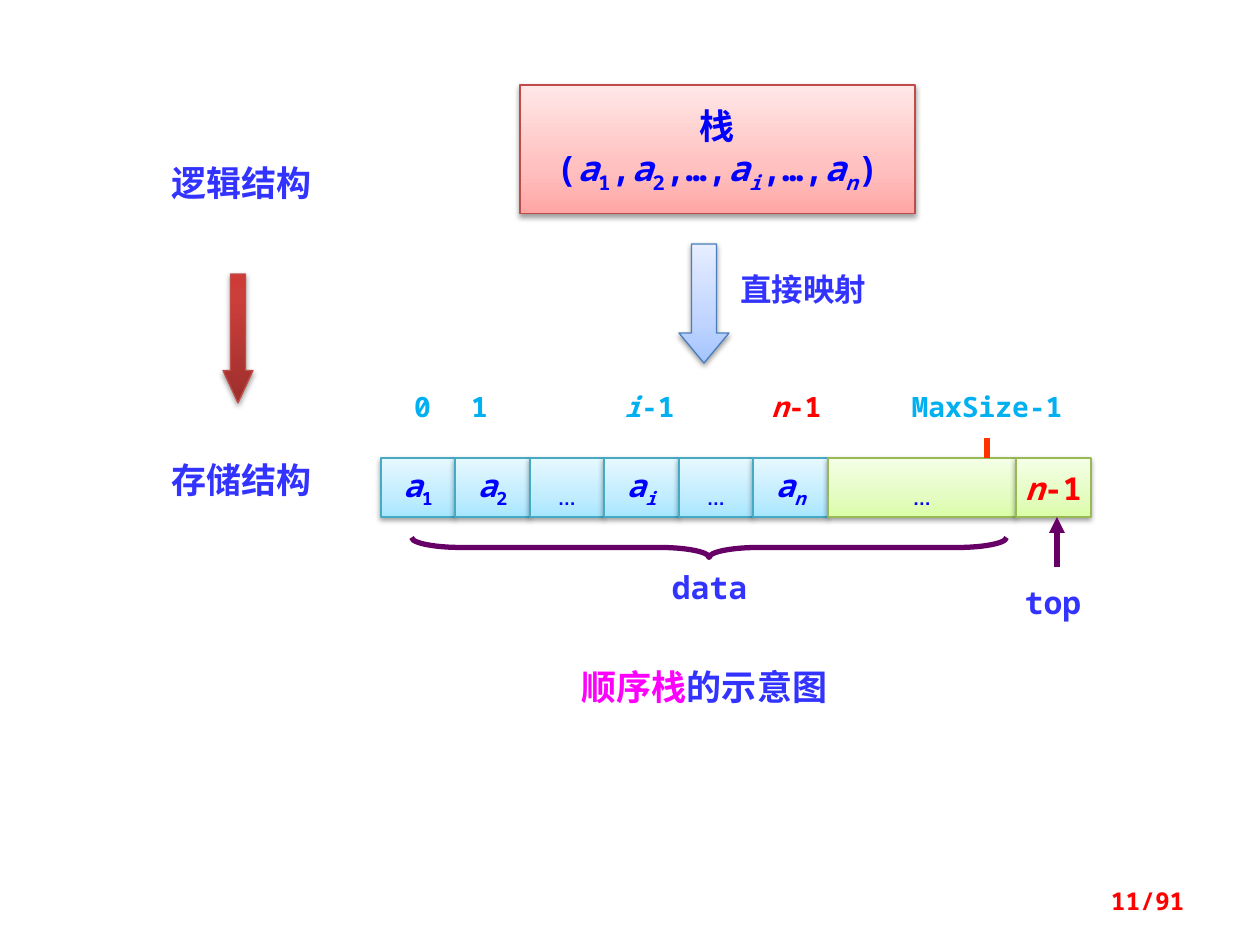
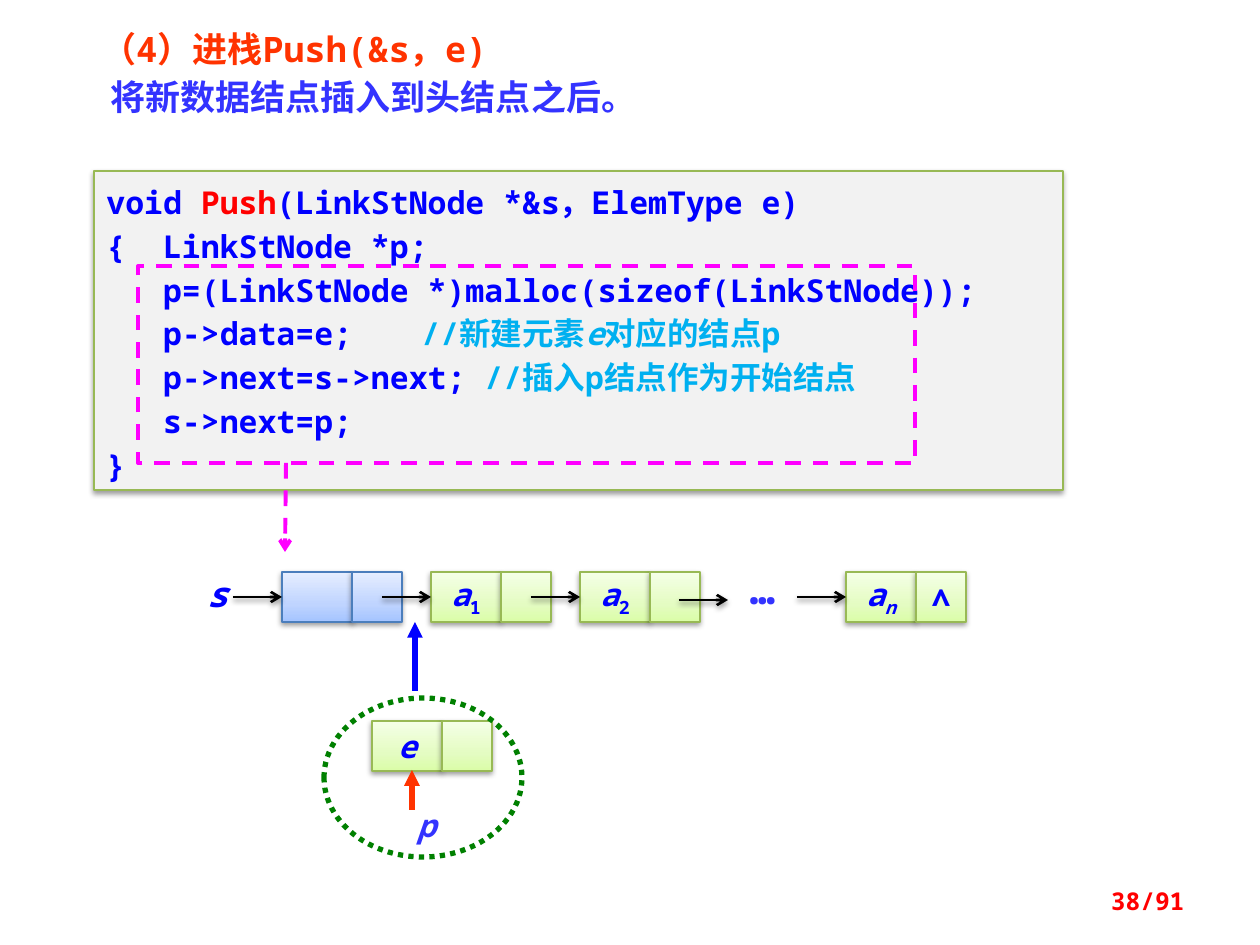
import pptx
import pptx.dml.color
import pptx.enum.dml
import pptx.enum.shapes
import pptx.enum.text
import pptx.oxml.ns
import pptx.util
from lxml import etree

RGB = pptx.dml.color.RGBColor
KIND = pptx.enum.shapes.MSO_SHAPE
ALIGN = pptx.enum.text.PP_ALIGN
ANCHOR = pptx.enum.text.MSO_ANCHOR
DASH = pptx.enum.dml.MSO_LINE
Pt = pptx.util.Pt
qn = pptx.oxml.ns.qn

MONO, HAN, SANS = "Noto Sans Mono", "Noto Sans CJK SC", "Arial"

BLACK = RGB(0x00, 0x00, 0x00)
BLUE = RGB(0x00, 0x00, 0xFF)
INDIGO = RGB(0x33, 0x33, 0xFF)
SKY = RGB(0x00, 0xB0, 0xF0)
RED = RGB(0xFF, 0x00, 0x00)
ORANGE = RGB(0xFF, 0x33, 0x00)
PINK = RGB(0xFF, 0x00, 0xFF)
PURPLE = RGB(0x66, 0x00, 0x66)
GREEN = RGB(0x00, 0x80, 0x00)
GREY = RGB(0xF2, 0xF2, 0xF2)
LEAF = RGB(0x98, 0xB9, 0x55)

# Each tint: edge colour, then gradient stops from bottom to top
ROSE = (RGB(0xBF, 0x4C, 0x48), (0, RGB(0xFF, 0xA6, 0xA5)),
        (35, RGB(0xFF, 0xC0, 0xBF)), (100, RGB(0xFF, 0xE7, 0xE7)))
BRICK = (RGB(0xBF, 0x4C, 0x48), (0, RGB(0x9C, 0x2F, 0x2D)),
         (80, RGB(0xCB, 0x3E, 0x3A)), (100, RGB(0xCE, 0x3B, 0x37)))
STEEL = (RGB(0x4B, 0x7E, 0xBC), (0, RGB(0xA4, 0xC4, 0xFF)),
         (35, RGB(0xBF, 0xD4, 0xFF)), (100, RGB(0xE6, 0xEE, 0xFF)))
AQUA = (RGB(0x46, 0xAA, 0xC5), (0, RGB(0xA7, 0xE6, 0xFF)),
        (35, RGB(0xC1, 0xED, 0xFF)), (100, RGB(0xE7, 0xF8, 0xFF)))
LIME = (LEAF, (0, RGB(0xDA, 0xFD, 0xA7)),
        (35, RGB(0xE4, 0xFC, 0xC2)), (100, RGB(0xF5, 0xFF, 0xE7)))


def px(n):
    return round(n * 914400 / 126)


def child(node, tag, **attrs):
    return etree.SubElement(node, qn(tag), **attrs)


# Text: a run is (words, style, colour); style holds "i" italic, "s" subscript
def add_run(par, size, color, font, words, style="", tint=None):
    run = par.add_run()
    run.text = words
    run.font.size = Pt(size)
    run.font.bold = True
    run.font.italic = "i" in style
    run.font.color.rgb = tint or color
    run.font.name = font
    props = run._r.get_or_add_rPr()
    child(props, "a:ea", typeface=HAN)
    if "s" in style:
        props.set("baseline", "-25000")


def write(frame, lines, size=18, color=BLUE, font=MONO, align=ALIGN.CENTER):
    for i, runs in enumerate(lines):
        par = frame.paragraphs[0] if i == 0 else frame.add_paragraph()
        par.alignment = align
        for run in runs:
            add_run(par, size, color, font, *run)
    return frame


def label(slide, x, y, w, h, lines, size=18, color=INDIGO, **look):
    frame = slide.shapes.add_textbox(px(x), px(y), px(w), px(h)).text_frame
    frame.word_wrap = True
    return write(frame, lines, size, color, **look)


def term(name, index, style="s"):
    return [(name, "i"), (index, style)]


# Shapes and lines
def cast(effects):
    shade = child(effects, "a:outerShdw", blurRad=str(Pt(3.1)), dist=str(Pt(1.6)),
                  dir="5400000", rotWithShape="0")
    child(child(shade, "a:srgbClr", val=str(BLACK)), "a:alpha", val="38000")


def shape(slide, kind, x, y, w, h, edge, width=0.75, shadow=False):
    item = slide.shapes.add_shape(kind, px(x), px(y), px(w), px(h))
    item.fill.background()
    item.line.color.rgb = edge
    item.line.width = Pt(width)
    item.shadow.inherit = False
    if shadow:
        cast(item._element.spPr.find(qn("a:effectLst")))
    return item


def block(slide, x, y, w, h, tint, lines=(), kind=KIND.RECTANGLE, **look):
    edge, *stops = tint
    item = shape(slide, kind, x, y, w, h, edge, shadow=True)
    item.fill.gradient()
    item.fill.gradient_angle = 90
    ramp = item._element.spPr.find(".//" + qn("a:gsLst"))
    for old in list(ramp):
        ramp.remove(old)
    for place, color in stops:
        stop = child(ramp, "a:gs", pos=str(place * 1000))
        child(stop, "a:srgbClr", val=str(color))
    frame = item.text_frame
    frame.word_wrap = False
    frame.vertical_anchor = ANCHOR.MIDDLE
    write(frame, lines, **look)
    return item


def line(slide, x1, y1, x2, y2, color, width=3, tip=None, dash=None, shadow=False):
    item = slide.shapes.add_connector(pptx.enum.shapes.MSO_CONNECTOR.STRAIGHT,
                                      px(x1), px(y1), px(x2), px(y2))
    item.line.color.rgb = color
    item.line.width = Pt(width)
    if dash:
        item.line.dash_style = dash
    if tip:
        child(item.line._get_or_add_ln(), "a:tailEnd", type=tip)
    effects = child(item._element.spPr, "a:effectLst")
    if shadow:
        cast(effects)


def footer(slide, page):
    frame = label(slide, 903, 876, 294, 50, [[(f"{page}/91",)]], 14, RED,
                  align=ALIGN.RIGHT)
    frame.vertical_anchor = ANCHOR.MIDDLE


# Slide 1: from logical to stored structure
def levels(slide, x, y):
    for dy, words in ((0, "逻辑结构"), (297, "存储结构")):
        label(slide, x, y + dy, 238, 55, [[(words,)]], 20, font=HAN)
    arrow = block(slide, x + 100, y + 119, 30, 129, BRICK, kind=KIND.DOWN_ARROW)
    arrow.adjustments[1] = 1.08


def logic(slide, x, y):
    listing = [("(",), *term("a", "1"), (",",), *term("a", "2"), (",…,",),
               *term("a", "i", "is"), (",…,",), *term("a", "n", "is"), (")",)]
    block(slide, x, y, 395, 129, ROSE, [[("栈",)], listing], size=20)
    arrow = block(slide, x + 159, y + 159, 50, 119, STEEL, kind=KIND.DOWN_ARROW)
    arrow.adjustments[1] = 0.6
    label(slide, x + 208, y + 179, 189, 50, [[("直接映射",)]], font=HAN,
          align=ALIGN.LEFT)


def array(slide, x, y):
    dots = [("…", "s")]
    minus = [("n", "i"), ("-1",)]
    cells = [term("a", "1"), term("a", "2"), dots, term("a", "i", "is"), dots,
             term("a", "n", "is")]
    # Used cells, then the free part
    edges = [x + 149 * i // 2 for i in range(len(cells) + 1)]
    for left, right, runs in zip(edges, edges[1:], cells):
        block(slide, left, y, right - left, 59, AQUA, [runs],
              font=SANS if runs is dots else MONO)
    free = edges[-1]
    block(slide, free, y, 188, 59, LIME, [dots], font=SANS)
    block(slide, free + 188, y, 75, 59, LIME, [minus], color=RED)
    # Index labels
    marks = ((7, 69, [("0",)], SKY), (64, 69, [("1",)], SKY),
             (229, 79, [("i", "i"), ("-1",)], SKY), (371, 89, minus, RED),
             (502, 208, [("MaxSize-1",)], SKY))
    for dx, w, runs, color in marks:
        label(slide, x + dx, y - 75, w, 46, [runs], 16, color)
    line(slide, x + 606, y - 20, x + 606, y, ORANGE)
    # Brace and top pointer
    brace = shape(slide, KIND.RIGHT_BRACE, x + 318, y - 208, 20, 595, PURPLE, 3)
    brace.rotation = 90
    brace.adjustments[0] = 2.49
    label(slide, x + 259, y + 104, 139, 50, [[("data",)]])
    label(slide, x + 617, y + 119, 110, 50, [[("top",)]])
    line(slide, x + 676, y + 109, x + 676, y + 59, PURPLE, tip="triangle")


def storage(deck):
    slide = deck.slides.add_slide(deck.slide_layouts[6])
    levels(slide, 123, 155)
    logic(slide, 520, 85)
    array(slide, 381, 458)
    label(slide, 542, 659, 325, 55, [[("顺序栈", "", PINK), ("的示意图",)]], 20,
          font=HAN)
    footer(slide, 11)


# Slide 2: pushing onto a linked stack
def heading(slide, x, y):
    frame = label(slide, x, y, 600, 111,
                  [[("（4）进栈Push(&s，e)",)],
                   [("将新数据结点插入到头结点之后。", "", INDIGO)]],
                  20, ORANGE, align=ALIGN.JUSTIFY)
    first, second = frame.paragraphs
    first.line_spacing = 0.8
    second.space_before = Pt(4)
    second._p.get_or_add_pPr().set("marL", str(px(9)))


def code(slide, x, y):
    panel = shape(slide, KIND.RECTANGLE, x, y, 969, 319, LEAF, shadow=True)
    panel.fill.solid()
    panel.fill.fore_color.rgb = GREY
    frame = panel.text_frame
    frame.word_wrap = True
    frame.vertical_anchor = ANCHOR.TOP
    write(frame, [
        [("void ",), ("Push", "", RED), ("(LinkStNode *&s，ElemType e)",)],
        [("{  LinkStNode *p;",)],
        [("   p=(LinkStNode *)malloc(sizeof(LinkStNode));",)],
        [("   p->data=e;\t\t",), ("//新建元素", "", SKY), ("e", "i", SKY),
         ("对应的结点p", "", SKY)],
        [("   p->next=s->next;\t",), ("//插入p结点作为开始结点", "", SKY)],
        [("   s->next=p;",)],
        [("}",)]], align=ALIGN.LEFT)
    for par in frame.paragraphs:
        par.line_spacing = Pt(25)


def focus(slide, x, y):
    frame = shape(slide, KIND.RECTANGLE, x, y, 777, 197, PINK, 2.25)
    frame.line.dash_style = DASH.DASH
    line(slide, x + 148, y + 197, x + 147, y + 286, PINK, 2.25, "arrow", DASH.DASH)


def node(slide, x, y, tint, data=(), link=()):
    block(slide, x, y, 70, 50, tint, [data])
    block(slide, x + 70, y, 50, 50, tint, [link])


def reach(slide, x, y):
    line(slide, x, y, x + 49, y, BLACK, 1.5, "arrow", shadow=True)


def chain(slide, x, y):
    label(slide, x - 89, y - 6, 49, 54, [[("s", "i")]], 20, BLUE)
    nodes = ((0, STEEL, (), ()), (149, LIME, term("a", "1"), ()),
             (298, LIME, term("a", "2"), ()),
             (564, LIME, term("a", "n", "is"), [("∧",)]))
    for dx, *parts in nodes:
        node(slide, x + dx, y, *parts)
    for dx, *_ in nodes:
        reach(slide, x + dx - 49, y + 25)
    reach(slide, x + 397, y + 28)
    label(slide, x + 446, y - 16, 69, 63, [[("…",)]], 24)


def fresh(slide, x, y):
    label(slide, x + 58, y + 102, 89, 50, [[("p", "i")]])
    node(slide, x + 48, y + 23, LIME, [("e", "i")])
    line(slide, x + 88, y + 112, x + 88, y + 72, ORANGE, tip="triangle")
    ring = shape(slide, KIND.OVAL, x, y, 198, 159, GREEN, 3)
    ring.line.dash_style = DASH.ROUND_DOT
    line(slide, x + 91, y - 7, x + 91, y - 76, BLUE, tip="triangle")


def push(deck):
    slide = deck.slides.add_slide(deck.slide_layouts[6])
    heading(slide, 89, 29)
    code(slide, 94, 171)
    chain(slide, 282, 572)
    fresh(slide, 324, 698)
    focus(slide, 138, 266)
    footer(slide, 38)


def main():
    deck = pptx.Presentation()
    deck.slide_width, deck.slide_height = px(1260), px(945)
    storage(deck)
    push(deck)
    deck.save("out.pptx")


if __name__ == "__main__":
    main()
